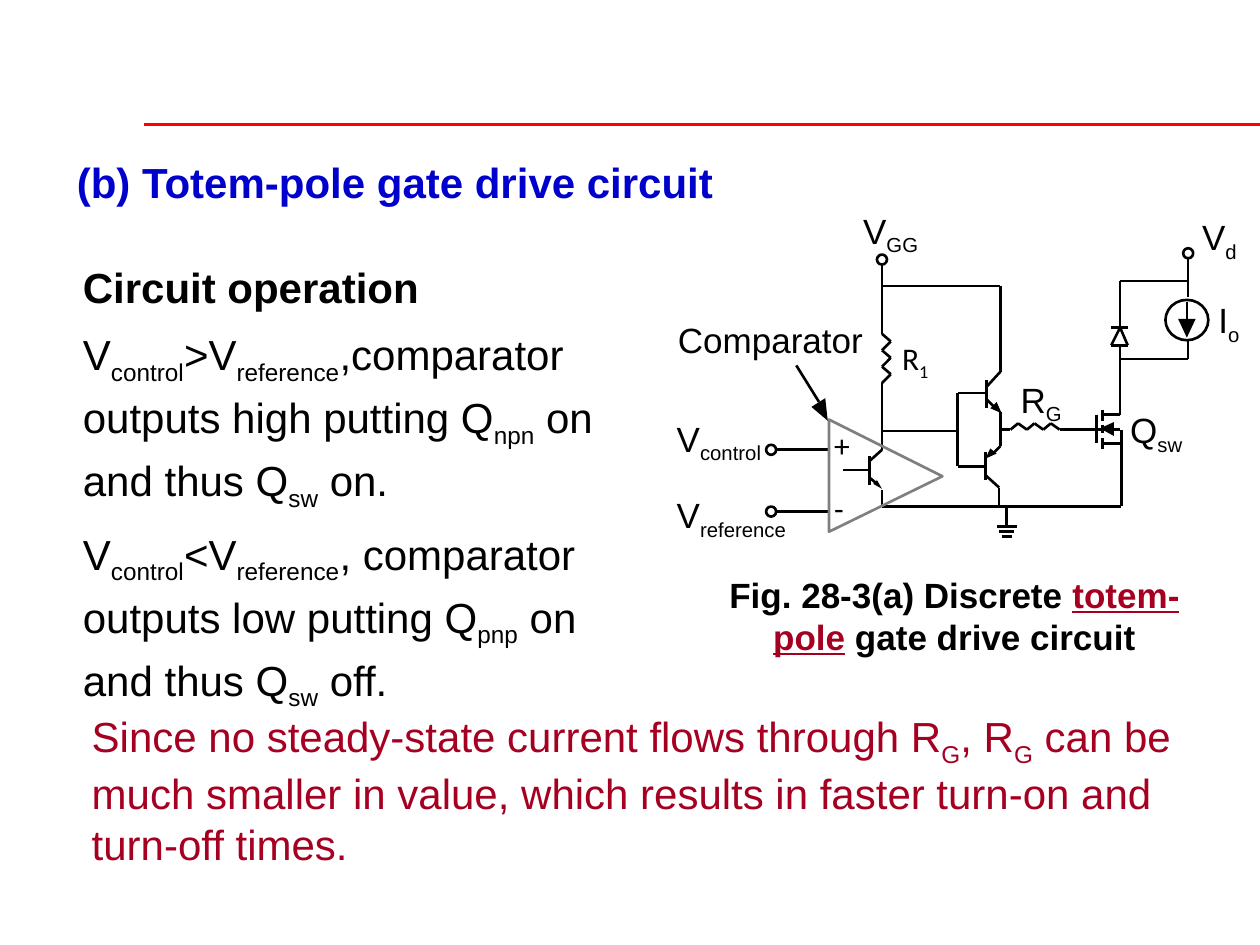
from itertools import pairwise

from lxml import etree
from pptx import Presentation
from pptx.dml.color import RGBColor
from pptx.enum.shapes import MSO_CONNECTOR, MSO_SHAPE
from pptx.enum.text import MSO_ANCHOR, MSO_AUTO_SIZE, PP_ALIGN
from pptx.oxml.ns import qn
from pptx.util import Pt

PX = 9144
STRAIGHT = MSO_CONNECTOR.STRAIGHT
OVAL = MSO_SHAPE.OVAL
TOP = MSO_ANCHOR.TOP
FIT = MSO_AUTO_SIZE.SHAPE_TO_FIT_TEXT
LEFT, CENTER = PP_ALIGN.LEFT, PP_ALIGN.CENTER

BLACK = RGBColor(0x00, 0x00, 0x00)
RED = RGBColor(0xFF, 0x00, 0x00)
CRIMSON = RGBColor(0xA5, 0x00, 0x21)
BLUE = RGBColor(0x00, 0x00, 0xCC)
GRAY = RGBColor(0x7F, 0x7F, 0x7F)

RESISTOR_STEPS = range(7)
R1_ZIGZAG = [(200 + 7 * (i % 2), 115 + 13 * i // 2) for i in RESISTOR_STEPS]
RG_ZIGZAG = [(302 + 13 * i // 2, 191 - 5 * (i % 2)) for i in RESISTOR_STEPS]

SUPPLY_WIRES = [
    [(200, 59), *R1_ZIGZAG, (200, 207), (190, 216)],
    [(200, 77), (294, 77), (294, 145), (283, 157)],
    [(200, 192), (260, 192)],
    [(200, 239), (200, 252), (390, 252), (390, 191)],
    [(299, 252), (299, 268)],
    *[[(291 + 2 * i, 268 + 4 * i), (307 - 2 * i, 268 + 4 * i)] for i in range(3)],
]
COMPARATOR_WIRES = [
    [(116, 207), (158, 207)],
    [(116, 256), (158, 256)],
    [(132, 140), (150, 169)],
    [(190, 212), (190, 235)],
    [(190, 229), (196, 234)],
    [(190, 223), (169, 223)],
]
TOTEM_POLE_WIRES = [
    [(283, 152), (283, 174)],
    [(283, 167), (289, 173)],
    [(283, 162), (260, 162), (260, 220), (282, 220)],
    [(282, 209), (282, 231)],
    [(282, 227), (293, 237), (293, 252)],
    [(294, 177), (294, 204), (289, 209)],
    [(294, 191), *RG_ZIGZAG, (380, 191)],
]
SWITCH_WIRES = [
    [(370, 179), (370, 202)],
    [(375, 175), (375, 184)],
    [(375, 187), (375, 194)],
    [(375, 198), (375, 206)],
    [(375, 202), (389, 202)],
    [(384, 191), (389, 191)],
    [(376, 179), (389, 179), (389, 124)],
]
LOAD_WIRES = [
    [(382, 110), (395, 110)],
    [(389, 110), (395, 124), (382, 124), (389, 110)],
    [(389, 110), (389, 73), (443, 73)],
    [(443, 55), (443, 86)],
    [(442, 90), (442, 104)],
    [(389, 135), (443, 135), (443, 121)],
]
ARROWHEADS = [
    [(195, 233), (193, 234), (200, 238), (196, 231)],
    [(435, 103), (442, 118), (449, 103)],
    [(144, 173), (157, 184), (155, 166)],
    [(384, 185), (373, 190), (384, 196)],
    [(286, 174), (295, 178), (291, 169)],
    [(286, 206), (282, 214), (291, 210)],
]
TERMINALS = [(443, 51), (200, 56), (112, 256), (112, 207)]
LABELS = [
    ("R|1", (216, 119, 24, 34), 18, "Calibri"),
    ("Q|sw", (397, 174, 46, 38), 20, "Arial"),
    ("V|GG", (185, 16, 47, 38), 20, "Arial"),
    ("V|d", (454, 21, 30, 38), 20, "Arial"),
    ("V|control", (37, 181, 72, 38), 20, "Arial"),
    ("V|reference", (37, 242, 91, 38), 20, "Arial"),
    ("Comparator", (38, 103, 150, 33), 20, "Arial"),
    ("I|o", (467, 87, 20, 38), 20, "Arial"),
    ("R|G", (310, 150, 36, 38), 20, "Arial"),
    ("+", (162, 188, 14, 30), 18, "Calibri"),
    ("-", (162, 238, 8, 30), 18, "Calibri"),
]


def emu(box):
    return [value * PX for value in box]


def format_paragraph(paragraph, size, color, name="Arial", bold=False):
    font = paragraph.font
    font.size, font.name, font.bold = Pt(size), name, bold
    font.color.rgb = color


def add_subscripted(paragraph, text):
    for index, part in enumerate(text.split("|")):
        run = paragraph.add_run()
        run.text = part
        if index % 2:
            run._r.get_or_add_rPr().set("baseline", "-25000")


def add_text_frame(slide, box):
    frame = slide.shapes.add_textbox(*emu(box)).text_frame
    frame.word_wrap = True
    frame.auto_size = FIT
    return frame


def add_line(slide, start, end, color=BLACK):
    line = slide.shapes.add_connector(STRAIGHT, *emu((*start, *end)))
    line.line.color.rgb = color
    line.line.width = Pt(1.5)
    etree.SubElement(line._element.spPr, qn("a:effectLst"))


def outline(shape, color=BLACK):
    shape.shadow.inherit = False
    shape.fill.background()
    shape.line.color.rgb = color
    shape.line.width = Pt(1.5)


def add_circuit(slide, left, top):
    def place(points):
        return [(left + x, top + y) for x, y in points]

    def add_polygon(points):
        start, *others = [emu(point) for point in place(points)]
        builder = slide.shapes.build_freeform(*start)
        builder.add_line_segments(others, close=True)
        return builder.convert_to_shape()

    def add_circle(x, y, width, height):
        outline(slide.shapes.add_shape(OVAL, *emu((left + x, top + y, width, height))))

    for wire in SUPPLY_WIRES + COMPARATOR_WIRES + TOTEM_POLE_WIRES + SWITCH_WIRES + LOAD_WIRES:
        for start, end in pairwise(place(wire)):
            add_line(slide, start, end)
    outline(add_polygon([(158, 183), (248, 228), (158, 272)]), GRAY)
    for points in ARROWHEADS:
        arrowhead = add_polygon(points)
        arrowhead.shadow.inherit = False
        arrowhead.fill.solid()
        arrowhead.fill.fore_color.rgb = BLACK
        arrowhead.line.fill.background()
    for x, y in TERMINALS:
        add_circle(x - 4, y - 4, 8, 8)
    add_circle(425, 88, 34, 32)
    for text, (x, y, width, height), size, name in LABELS:
        frame = add_text_frame(slide, (left + x, top + y, width, height))
        frame.word_wrap = False
        frame.margin_left = frame.margin_right = frame.margin_top = frame.margin_bottom = 0
        paragraph = frame.paragraphs[0]
        paragraph.alignment = LEFT
        add_subscripted(paragraph, text)
        format_paragraph(paragraph, size, BLACK, name)


def add_title(slide, box):
    title = slide.shapes.title
    title.left, title.top, title.width, title.height = emu(box)
    frame = title.text_frame
    frame.text = "(b) Totem-pole gate drive circuit"
    frame.vertical_anchor = TOP
    frame.auto_size = FIT
    paragraph = frame.paragraphs[0]
    paragraph.alignment = LEFT
    paragraph.line_spacing = 1.1
    format_paragraph(paragraph, 24, BLUE, bold=True)


def add_operation(slide, box):
    frame = add_text_frame(slide, box)
    texts = [
        "Circuit operation",
        "V|control|>V|reference|,comparator outputs high putting Q|npn| on and thus Q|sw| on.",
        "V|control|<V|reference|, comparator outputs low putting Q|pnp| on and thus Q|sw| off.",
    ]
    for index, text in enumerate(texts):
        paragraph = frame.add_paragraph() if index else frame.paragraphs[0]
        add_subscripted(paragraph, text)
        paragraph.line_spacing = 1.1
        paragraph.space_before = Pt(6 if index else 0)
        format_paragraph(paragraph, 24, BLACK, bold=index == 0)


def add_caption(slide, box):
    paragraph = add_text_frame(slide, box).paragraphs[0]
    paragraph.alignment = CENTER
    format_paragraph(paragraph, 20, BLACK, bold=True)
    for text in ("Fig. 28-3(a) Discrete ", "totem-pole", " gate drive circuit"):
        run = paragraph.add_run()
        run.text = text
        if text == "totem-pole":
            run.font.underline = True
            run.font.color.rgb = CRIMSON


def add_conclusion(slide, box):
    paragraph = add_text_frame(slide, box).paragraphs[0]
    add_subscripted(paragraph, "Since no steady-state current flows through R|G|, R|G| can be much "
                               "smaller in value, which results in faster turn-on and turn-off times.")
    format_paragraph(paragraph, 24, CRIMSON)


def main():
    presentation = Presentation()
    presentation.slide_width, presentation.slide_height = emu((1000, 750))
    slide = presentation.slides.add_slide(presentation.slide_layouts[5])
    add_line(slide, (114, 99), (1000, 99), RED)
    add_title(slide, (51, 115, 543, 54))
    add_circuit(slide, 500, 150)
    add_caption(slide, (549, 450, 417, 77))
    add_operation(slide, (56, 199, 457, 371))
    add_conclusion(slide, (63, 559, 890, 136))
    presentation.save("out.pptx")


if __name__ == "__main__":
    main()
